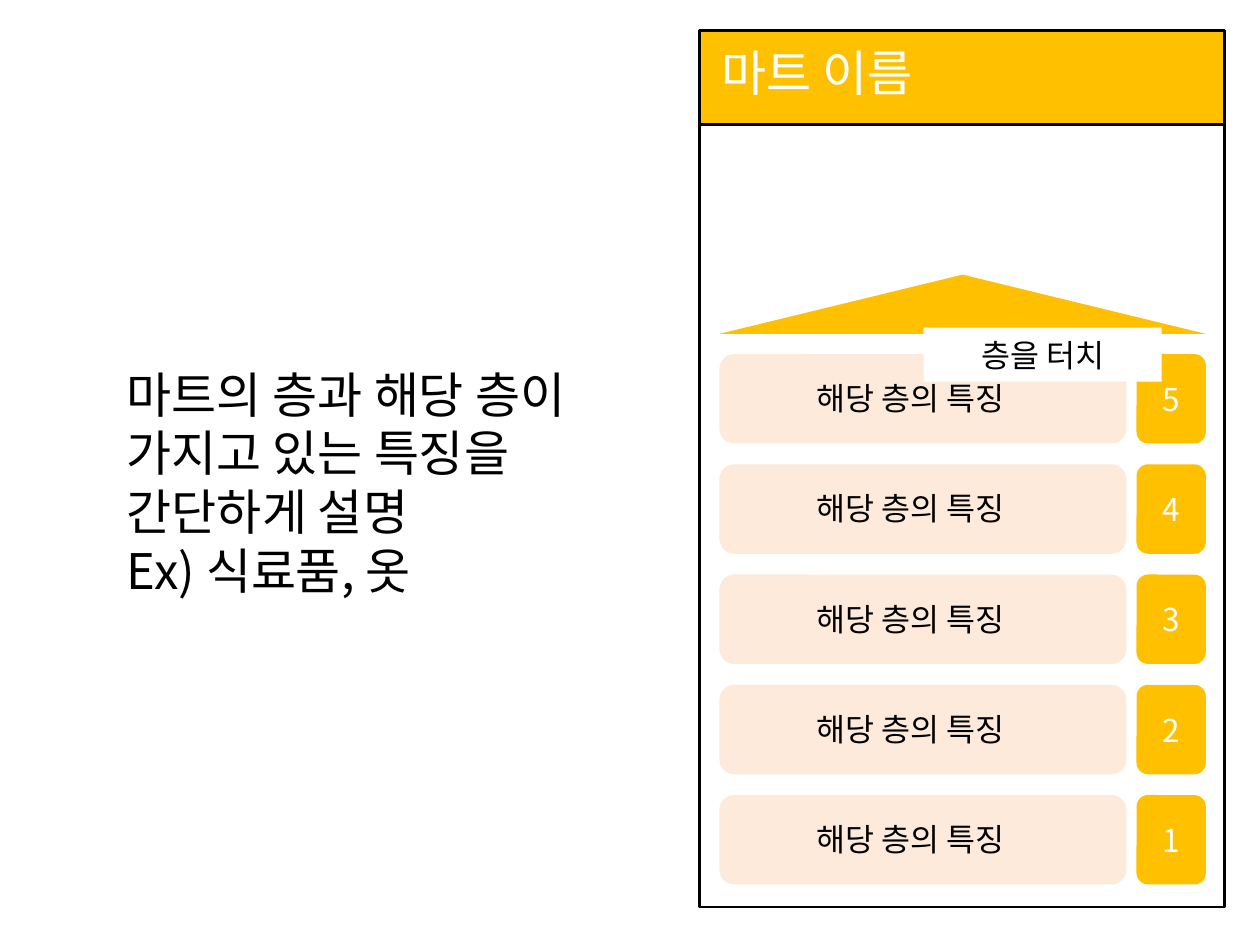
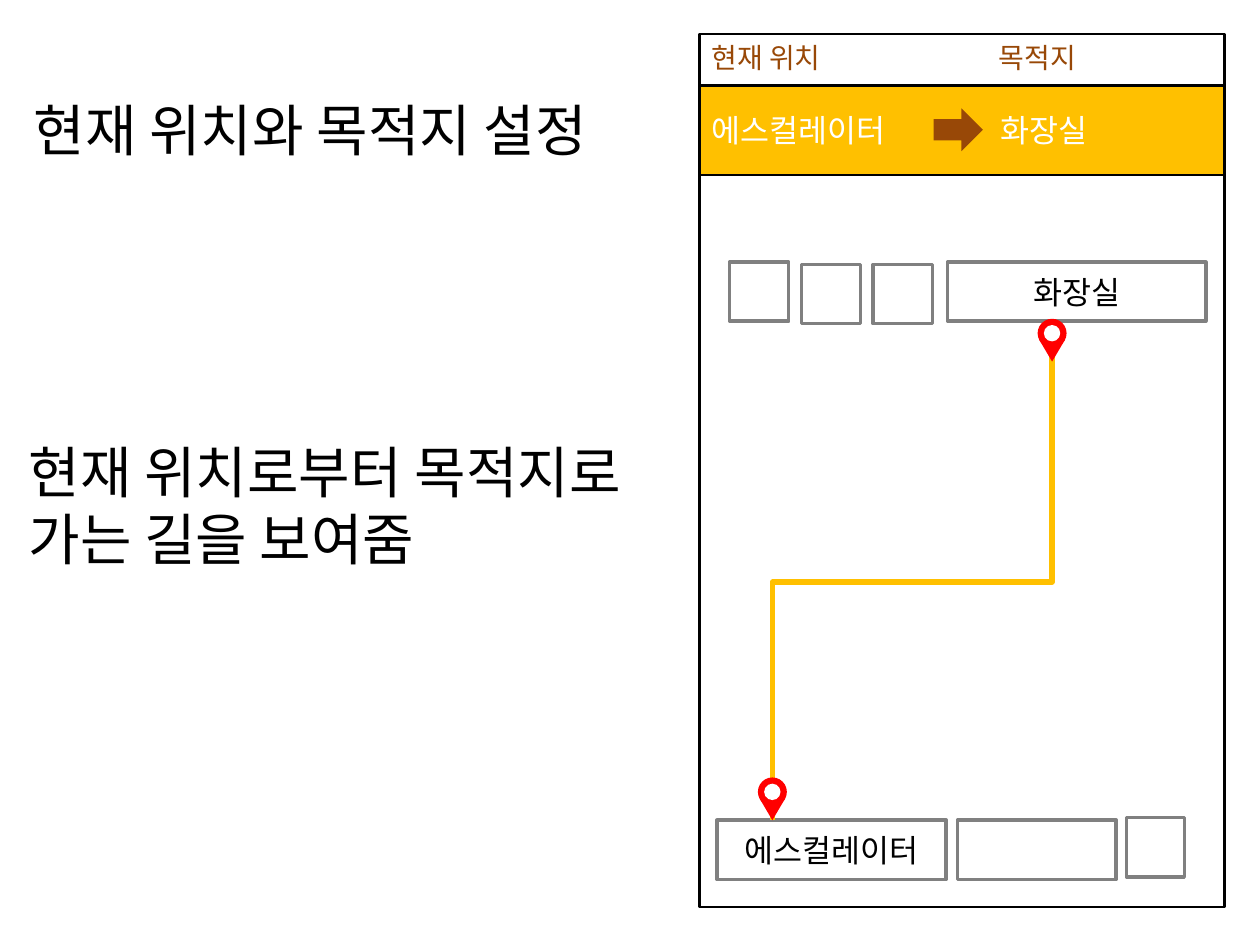
from dataclasses import dataclass

from lxml import etree
from pptx import Presentation
from pptx.dml.color import RGBColor
from pptx.enum.shapes import MSO_CONNECTOR, MSO_SHAPE
from pptx.enum.text import MSO_ANCHOR, MSO_AUTO_SIZE, PP_ALIGN
from pptx.oxml.ns import qn
from pptx.util import Inches, Pt

RECT, ROUND = MSO_SHAPE.RECTANGLE, MSO_SHAPE.ROUNDED_RECTANGLE
TRIANGLE, OVAL, ARROW = MSO_SHAPE.ISOSCELES_TRIANGLE, MSO_SHAPE.OVAL, MSO_SHAPE.RIGHT_ARROW
ELBOW = MSO_CONNECTOR.ELBOW
CENTER, MIDDLE = PP_ALIGN.CENTER, MSO_ANCHOR.MIDDLE
GROW = MSO_AUTO_SIZE.SHAPE_TO_FIT_TEXT


@dataclass(frozen=True)
class Theme:
    font: str = "Noto Sans CJK KR"
    black: str = "000000"
    white: str = "FFFFFF"
    amber: str = "FFC000"
    peach: str = "FDEADA"
    brown: str = "984807"
    gray: str = "808080"
    red: str = "FF0000"
    note: int = 32
    heading: int = 28
    body: int = 18
    small: int = 16
    frame_line: float = 1.5
    room_line: float = 2
    route_line: float = 3


THEME = Theme()
PHONE = (5.55, 0.27, 4.17, 6.93)


def rgb(color):
    return RGBColor.from_string(color)


def write(tf, lines, size, color, align=None):
    for i, line in enumerate(lines):
        p = tf.add_paragraph() if i else tf.paragraphs[0]
        p.text = line
        p.alignment = align
        p.font.name = THEME.font
        p.font.size = Pt(size)
        p.font.color.rgb = rgb(color)
        etree.SubElement(p.font._element.find(".//" + qn("a:defRPr")) if p.font is None
                         else p._p.pPr.find(qn("a:defRPr")),
                         qn("a:ea"), typeface=THEME.font)


def add_shape(shapes, kind, box, fill, line=None, width=0, text=None, color=THEME.black):
    sp = shapes.add_shape(kind, *map(Inches, box))
    sp.shadow.inherit = False
    sp.fill.solid()
    sp.fill.fore_color.rgb = rgb(fill)
    if line:
        sp.line.color.rgb = rgb(line)
        sp.line.width = Pt(width)
    else:
        sp.line.fill.background()
    if text:
        sp.text_frame.vertical_anchor = MIDDLE
        write(sp.text_frame, [text], THEME.body, color, CENTER)
    return sp


def add_text(shapes, box, lines, size, color=THEME.black, wrap=True):
    tf = shapes.add_textbox(*map(Inches, box)).text_frame
    tf.word_wrap = wrap
    tf.auto_size = GROW
    write(tf, lines, size, color)


def phone_frame(shapes, box, band_top, band_height):
    """Phone outline with an amber band, placed from the top of the phone."""
    x, y, w, _ = box
    for part, fill in ((box, THEME.white), ((x, y + band_top, w, band_height), THEME.amber)):
        add_shape(shapes, RECT, part, fill, THEME.black, THEME.frame_line)


def floor_list(shapes, box, floors, pitch=0.875):
    """Roof and one row per floor, the highest floor first."""
    x, y, w, _ = box
    row_h, bar_w, badge_w = 0.71, 3.23, 0.55
    add_shape(shapes, TRIANGLE, (x, y, w, 0.47), THEME.amber)
    for i in range(floors):
        top = y + 0.63 + i * pitch
        add_shape(shapes, ROUND, (x, top, bar_w, row_h), THEME.peach)
        add_shape(shapes, ROUND, (x + w - badge_w, top, badge_w, row_h), THEME.amber,
                  text=str(floors - i), color=THEME.white)
        add_text(shapes, (x + 0.67, top + 0.15, 1.9, 0.4), ["해당 층의 특징"],
                 THEME.body, wrap=False)


def trip_header(shapes, box):
    """Start and destination, with their captions above."""
    x, y, _, _ = box
    add_text(shapes, (x, y, 1.17, 0.37), ["현재 위치"], THEME.small, THEME.brown, wrap=False)
    add_text(shapes, (x + 2.28, y, 1.02, 0.37), ["목적지"], THEME.small, THEME.brown)
    add_shape(shapes, ARROW, (x + 1.86, y + 0.59, 0.39, 0.34), THEME.brown)
    for dx, place in ((0, "에스컬레이터"), (2.29, "화장실")):
        add_text(shapes, (x + dx, y + 0.56, 1.73, 0.4), [place], THEME.body, THEME.white)


def add_pin(shapes, x, tip):
    """Map pin centred on x, with its point at tip."""
    pin = shapes.add_group_shape().shapes
    for kind, w, h, rise, fill, turn in ((OVAL, 0.23, 0.23, 0.34, THEME.red, 180),
                                         (TRIANGLE, 0.2, 0.17, 0.17, THEME.red, 180),
                                         (OVAL, 0.13, 0.13, 0.29, THEME.white, 0)):
        add_shape(pin, kind, (x - w / 2, tip - rise, w, h), fill).rotation = turn


def add_route(shapes, start, end):
    """Elbow line that leaves and arrives vertically, so its box is turned by 90°."""
    (x1, y1), (x2, y2) = start, end
    length, span = y2 - y1, x1 - x2
    left, top = (x1 + x2 - length) / 2, (y1 + y2 - span) / 2
    line = shapes.add_connector(ELBOW, *map(Inches, (left, top, left + length, top + span)))
    line.line.color.rgb = rgb(THEME.amber)
    line.line.width = Pt(THEME.route_line)
    props = line._element.spPr
    props.find(qn("a:xfrm")).set("rot", str(90 * 60000))
    etree.SubElement(props, qn("a:effectLst"))


def floor_map(shapes, box):
    x, y, _, _ = box
    rooms = ((1.97, 1.81, 2.05, "화장실"), (0.81, 1.83, 0.47, None),
             (1.38, 1.83, 0.47, None), (0.24, 1.81, 0.47, None),
             (3.39, 6.22, 0.46, None), (2.05, 6.24, 1.26, None),
             (0.14, 6.24, 1.82, "에스컬레이터"))
    for dx, dy, w, name in rooms:
        add_shape(shapes, RECT, (x + dx, y + dy, w, 0.47), THEME.white,
                  THEME.gray, THEME.room_line, name)
    goal, here = (x + 2.8, y + 2.46), (x + 0.58, y + 6.24)
    add_route(shapes, goal, here)
    add_pin(shapes, goal[0], goal[1] + 0.14)
    add_pin(shapes, *here)


def floors_slide(shapes):
    x, y, _, _ = PHONE
    phone_frame(shapes, PHONE, -0.03, 0.75)
    add_text(shapes, (x + 0.08, y + 0.02, 1.89, 0.57), ["마트 이름"],
             THEME.heading, THEME.white, wrap=False)
    floor_list(shapes, (x + 0.16, y + 1.91, 3.86, 4.84), 5)
    add_text(shapes, (0.91, 2.84, 4.44, 1.99),
             ["마트의 층과 해당 층이", "가지고 있는 특징을", "간단하게 설명", "Ex) 식료품, 옷"],
             THEME.heading)
    add_shape(shapes, RECT, (x + 1.78, y + 2.33, 1.89, 0.43), THEME.white, text="층을 터치")


def route_slide(shapes):
    phone_frame(shapes, PHONE, 0.41, 0.71)
    trip_header(shapes, PHONE)
    floor_map(shapes, PHONE)
    add_text(shapes, (0.17, 0.71, 5.35, 0.64), ["현재 위치와 목적지 설정"], THEME.note)
    add_text(shapes, (0.13, 3.42, 5.56, 1.18),
             ["현재 위치로부터 목적지로 가는 길을 보여줌"], THEME.note)


def main():
    prs = Presentation()
    prs.slide_width, prs.slide_height = Inches(10), Inches(7.5)
    blank = prs.slide_layouts[6]
    for build in (floors_slide, route_slide):
        build(prs.slides.add_slide(blank).shapes)
    prs.save("out.pptx")


if __name__ == "__main__":
    main()
